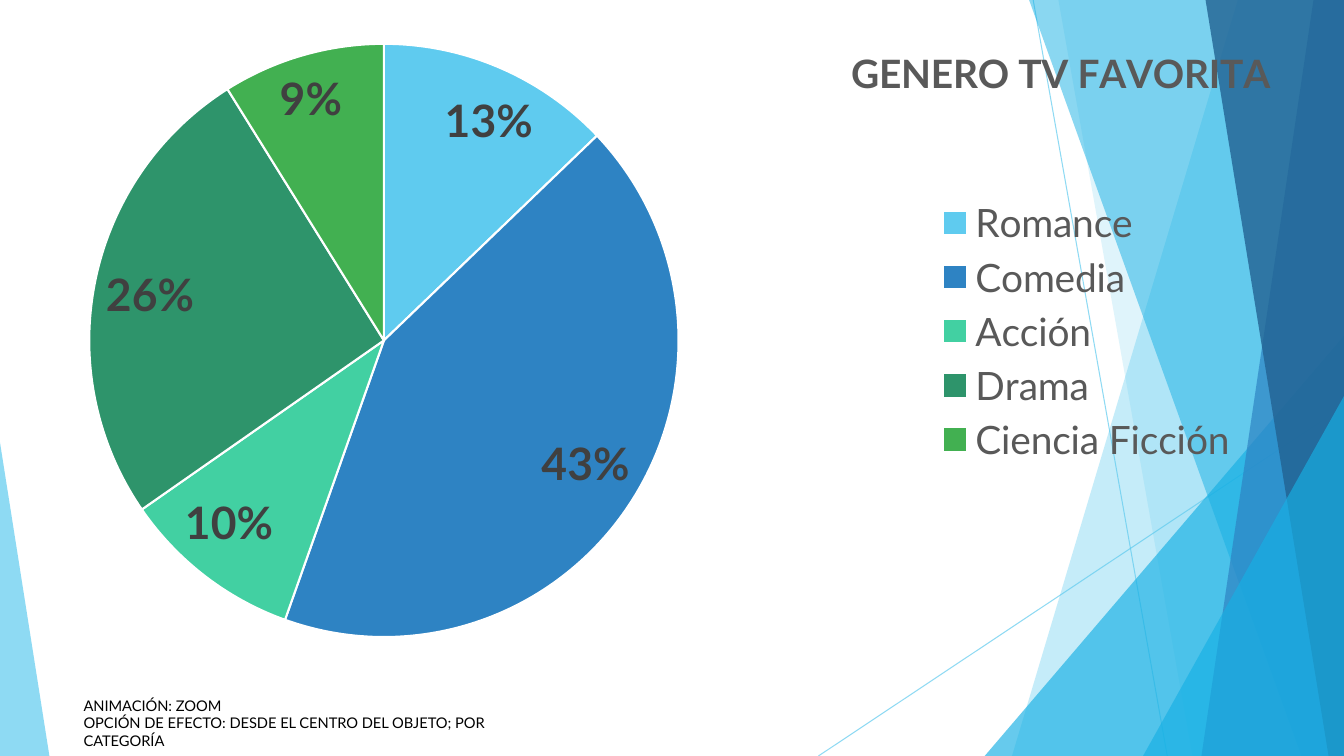
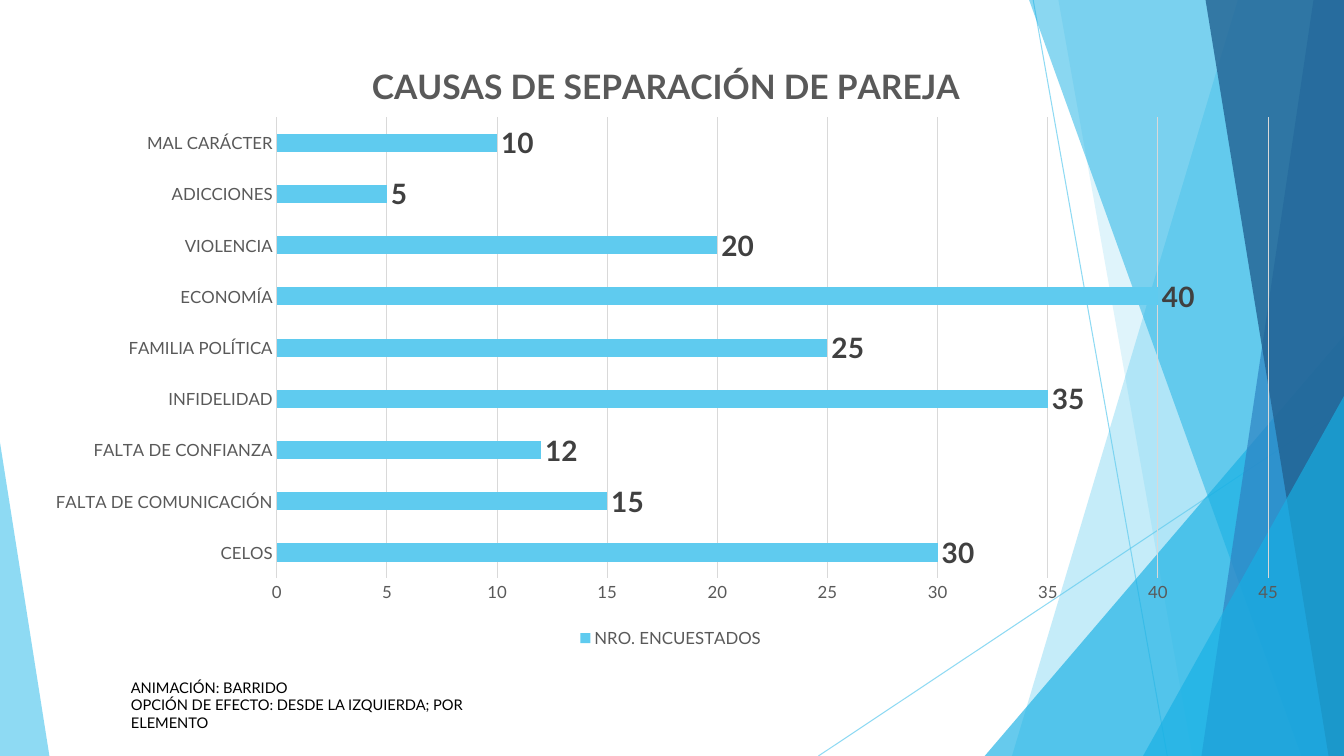
from collections import namedtuple

from pptx import Presentation
from pptx.chart.data import CategoryChartData
from pptx.dml.color import RGBColor
from pptx.enum.chart import XL_CHART_TYPE as ChartType
from pptx.enum.chart import XL_LABEL_POSITION as LabelPos
from pptx.enum.chart import XL_LEGEND_POSITION as LegendPos
from pptx.enum.chart import XL_TICK_MARK as Tick
from pptx.enum.shapes import MSO_CONNECTOR as Connector
from pptx.enum.shapes import MSO_SHAPE as Shape
from pptx.enum.text import MSO_AUTO_SIZE as AutoSize
from pptx.oxml.ns import qn
from pptx.oxml.xmlchemy import OxmlElement
from pptx.util import Pt

Box = namedtuple("Box", "left top width height")
PAGE = Box(0, 0, 960, 540)

FONT = "Lato"
SKY, CYAN, BLUE, NAVY = "5FCBEF", "17B0E4", "2E83C3", "226292"
MINT, PINE, GREEN = "42D0A2", "2E946B", "42B051"
GREY, DARK, RULE, BLACK, WHITE = "595959", "404040", "D9D9D9", "000000", "FFFFFF"

RAYS = [((738, 0), (833.8, 540)), ((960, 290.2), (584.6, 540))]
FACETS = [
    ("band", 884.2, 722.9, SKY, 36),
    ("band", 756, 851.8, SKY, 20),
    ("peak", 703.4, 239.8, CYAN, 66),
    ("band", 735.1, 929.5, CYAN, 50),
    ("band", 938.2, 858.2, BLUE, 70),
    ("band", 861.1, 949, NAVY, 80),
    ("peak", 816.5, 283, CYAN, 66),
]


def rgb(value):
    return RGBColor.from_string(value)


def paint(color_format, color, opacity=100):
    color_format.solid()
    color_format.fore_color.rgb = rgb(color)
    if opacity < 100:
        alpha = OxmlElement("a:alpha")
        alpha.set("val", str(opacity * 1000))
        color_format.fore_color._xFill[0].append(alpha)


def style(font, size, color, bold=False):
    font.name = FONT
    font.size = Pt(size)
    font.bold = bold
    font.color.rgb = rgb(color)


def finish(shape, color, opacity):
    shape.shadow.inherit = False
    paint(shape.fill, color, opacity)
    shape.line.fill.background()


def add_ray(slide, box, start, end):
    ends = [Pt(v) for x, y in (start, end) for v in (box.left + x, box.top + y)]
    ray = slide.shapes.add_connector(Connector.STRAIGHT, *ends)
    ray.line.width = Pt(0.75)
    paint(ray.line.fill, SKY, 70)
    ray._element.spPr.append(OxmlElement("a:effectLst"))


def add_band(slide, box, top_x, bottom_x, color, opacity):
    right, bottom = box.left + box.width, box.top + box.height
    corners = [(right, box.top), (right, bottom), (box.left + bottom_x, bottom)]
    outline = slide.shapes.build_freeform(Pt(box.left + top_x), Pt(box.top))
    outline.add_line_segments([(Pt(x), Pt(y)) for x, y in corners])
    finish(outline.convert_to_shape(), color, opacity)


def add_peak(slide, box, apex, color, opacity):
    peak = slide.shapes.add_shape(Shape.ISOSCELES_TRIANGLE, *map(Pt, box))
    peak.adjustments[0] = apex
    finish(peak, color, opacity)


def add_backdrop(slide, box):
    for start, end in RAYS:
        add_ray(slide, box, start, end)
    for kind, first, second, color, opacity in FACETS:
        if kind == "band":
            add_band(slide, box, first, second, color, opacity)
        else:
            corner = Box(box.left + first, box.top + second,
                         box.width - first, box.height - second)
            add_peak(slide, corner, 1, color, opacity)
    add_peak(slide, Box(box.left, box.top + 316.1, 35.3, box.height - 316.1), 0, SKY, 70)


def set_layout(parent, index, inner=False, **fractions):
    layout = parent.find(qn("c:layout"))
    if layout is None:
        layout = OxmlElement("c:layout")
        parent.insert(index, layout)
    manual = OxmlElement("c:manualLayout")
    layout.append(manual)
    settings = [("layoutTarget", "inner")] if inner else []
    settings += [(key + "Mode", "edge") for key in "xy"]
    settings += fractions.items()
    for tag, value in settings:
        item = OxmlElement("c:" + tag)
        item.set("val", str(value))
        manual.append(item)


def add_chart(slide, box, kind, series_name, values, title, title_size, title_at, plot_at):
    data = CategoryChartData()
    data.categories = list(values)
    data.add_series(series_name, list(values.values()))
    chart = slide.shapes.add_chart(kind, *map(Pt, box), data).chart
    style(chart.font, 10, BLACK)
    chart.has_title = True
    heading = chart.chart_title.text_frame
    heading.text = title
    style(heading.paragraphs[0].runs[0].font, title_size, GREY, True)
    find = chart.element.find
    set_layout(find(".//" + qn("c:title")), 1, **dict(zip("xy", title_at)))
    set_layout(find(".//" + qn("c:plotArea")), 0, True, **dict(zip("xywh", plot_at)))
    return chart


def add_legend(chart, position, size):
    chart.has_legend = True
    chart.legend.position = position
    chart.legend.include_in_layout = False
    style(chart.legend.font, size, GREY)


def add_labels(plot, size, position):
    plot.has_data_labels = True
    labels = plot.data_labels
    style(labels.font, size, DARK, True)
    labels.position = position
    return labels


def add_genre_pie(slide, box):
    votes = {"Romance": 13, "Comedia": 43, "Acción": 10, "Drama": 26, "Ciencia Ficción": 9}
    chart = add_chart(slide, box, ChartType.PIE, "Series 1", votes,
                      "GENERO TV FAVORITA", 28, (0.66, 0.03), (0.05, 0.04, 0.48, 0.96))
    add_legend(chart, LegendPos.RIGHT, 28)
    set_layout(chart.element.find(".//" + qn("c:legend")), 1, x=0.73, y=0.28, w=0.25, h=0.45)
    plot = chart.plots[0]
    plot.vary_by_categories = True
    labels = add_labels(plot, 32, LabelPos.BEST_FIT)
    labels.show_value = False
    labels.show_percentage = True
    labels.number_format = "0%"
    labels.number_format_is_linked = False
    for index, color in enumerate((SKY, BLUE, MINT, PINE, GREEN)):
        slice_format = plot.series[0].points[index].format
        paint(slice_format.fill, color)
        paint(slice_format.line.fill, WHITE)
        slice_format.line.width = Pt(1.5)


def style_axis(axis):
    axis.major_tick_mark = axis.minor_tick_mark = Tick.NONE
    style(axis.tick_labels.font, 12, GREY)


def style_rule(line):
    paint(line.fill, RULE)
    line.width = Pt(0.75)


def add_causes_bars(slide, box):
    causes = {
        "CELOS": 30, "FALTA DE COMUNICACIÓN": 15, "FALTA DE CONFIANZA": 12,
        "INFIDELIDAD": 35, "FAMILIA POLÍTICA": 25, "ECONOMÍA": 40,
        "VIOLENCIA": 20, "ADICCIONES": 5, "MAL CARÁCTER": 10,
    }
    chart = add_chart(slide, box, ChartType.BAR_CLUSTERED, "NRO. ENCUESTADOS", causes,
                      "CAUSAS DE SEPARACIÓN DE PAREJA", 24, (0.26, 0.03),
                      (0.19, 0.13, 0.78, 0.75))
    add_legend(chart, LegendPos.BOTTOM, 12)
    plot = chart.plots[0]
    plot.vary_by_categories = False
    plot.gap_width = 182
    add_labels(plot, 20, LabelPos.OUTSIDE_END).show_value = True
    paint(plot.series[0].format.fill, SKY)
    category, count = chart.category_axis, chart.value_axis
    style_axis(category)
    style_rule(category.format.line)
    style_axis(count)
    count.minimum_scale, count.maximum_scale, count.major_unit = 0, 45, 5
    count.format.line.fill.background()
    count.has_major_gridlines = True
    style_rule(count.major_gridlines.format.line)


def add_note(slide, box, lines):
    note = slide.shapes.add_textbox(*map(Pt, box)).text_frame
    note.word_wrap = True
    note.auto_size = AutoSize.SHAPE_TO_FIT_TEXT
    note.text = "\n".join(lines)
    for paragraph in note.paragraphs:
        style(paragraph.runs[0].font, 10.5, BLACK)


def main():
    deck = Presentation()
    deck.slide_width, deck.slide_height = Pt(PAGE.width), Pt(PAGE.height)
    pages = [
        (add_genre_pie, Box(16.6, 13.7, 895.7, 442.1), Box(52.6, 493.9, 313.9, 32.4),
         ["ANIMACIÓN: ZOOM", "OPCIÓN DE EFECTO: DESDE EL CENTRO DEL OBJETO; POR CATEGORÍA"]),
        (add_causes_bars, Box(25.2, 26.6, 907.9, 439.2), Box(86.4, 481, 270, 32.4),
         ["ANIMACIÓN: BARRIDO", "OPCIÓN DE EFECTO: DESDE LA IZQUIERDA; POR ELEMENTO"]),
    ]
    for draw_chart, chart_box, note_box, note_lines in pages:
        slide = deck.slides.add_slide(deck.slide_layouts[6])
        add_backdrop(slide, PAGE)
        draw_chart(slide, chart_box)
        add_note(slide, note_box, note_lines)
    deck.save("out.pptx")


if __name__ == "__main__":
    main()
